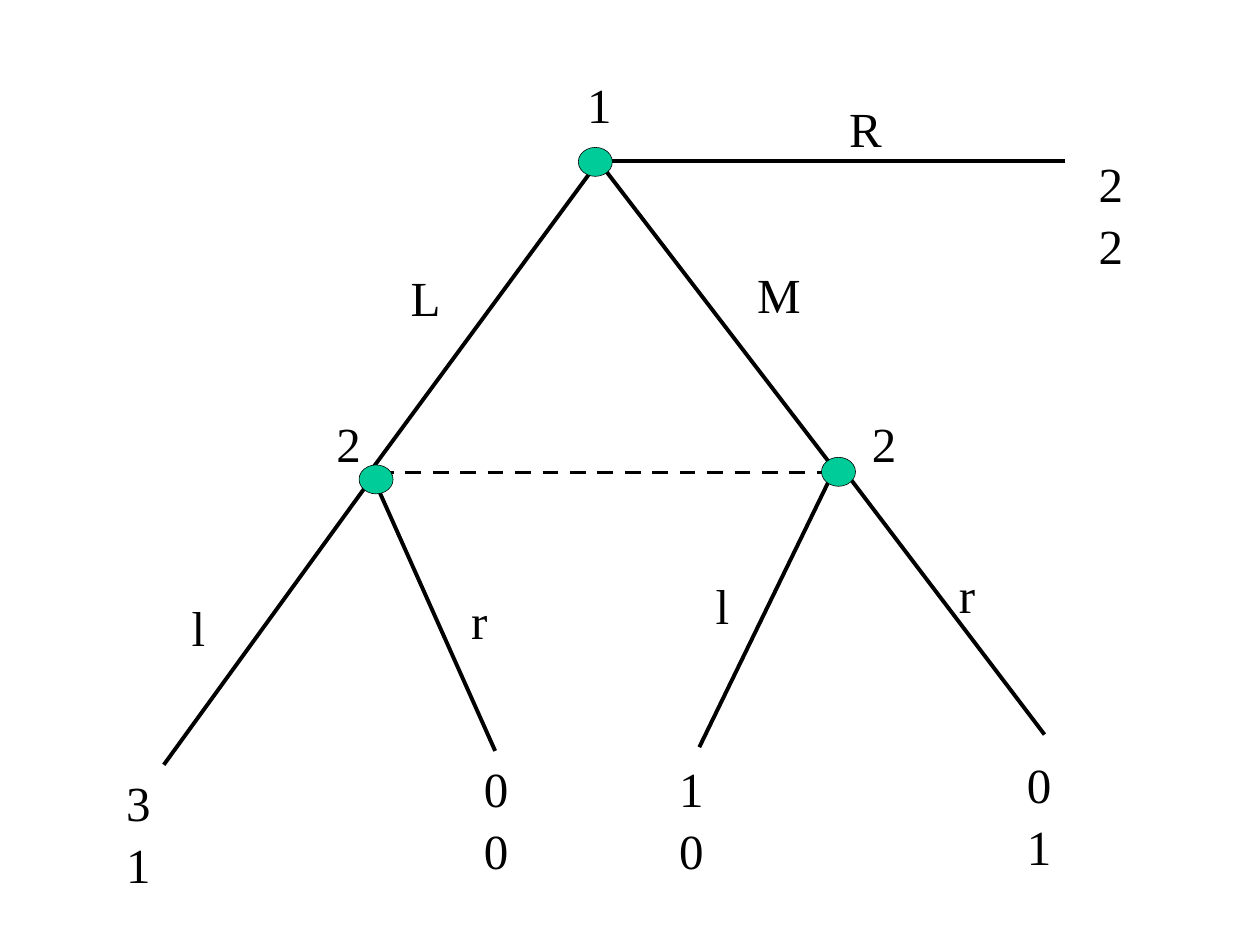
from dataclasses import dataclass

from lxml import etree
from pptx import Presentation
from pptx.dml.color import RGBColor
from pptx.enum.dml import MSO_LINE
from pptx.enum.shapes import MSO_CONNECTOR, MSO_SHAPE
from pptx.enum.text import MSO_AUTO_SIZE
from pptx.oxml.ns import qn
from pptx.slide import Slide
from pptx.util import Inches, Pt

STRAIGHT = MSO_CONNECTOR.STRAIGHT
OVAL = MSO_SHAPE.OVAL
DASH = MSO_LINE.DASH
FIT_SHAPE = MSO_AUTO_SIZE.SHAPE_TO_FIT_TEXT

COLORS = {"ink": "000000", "node": "00CC99"}
LABEL_FONT = {"name": "Times New Roman", "size": Pt(28)}
LABEL_FRAME = {
    "margin_left": 0,
    "margin_top": 0,
    "margin_right": 0,
    "margin_bottom": 0,
    "word_wrap": False,
    "auto_size": FIT_SHAPE,
}
LABEL_HEIGHT = 0.47
PAYOFF_STEP = 0.49
NODE_WIDTH, NODE_HEIGHT = 0.27, 0.23
GLYPH_WIDTHS = {"L": 0.24, "M": 0.35, "R": 0.26, "l": 0.11, "r": 0.13}
DIGIT_WIDTH = 0.19


@dataclass(frozen=True)
class Branch:
    start: tuple[float, float]
    end: tuple[float, float]
    dashed: bool = False


@dataclass(frozen=True)
class Label:
    text: str
    left: float
    top: float


@dataclass(frozen=True)
class Payoff:
    first: str
    second: str
    left: float
    top: float


ROOT = (4.75, 1.28)
LEFT_END = (2.94, 3.74)
RIGHT_START = (6.65, 3.67)

BRANCHES = [
    Branch((3, 3.75), (6.67, 3.75), dashed=True),
    Branch(ROOT, (8.45, 1.28)),
    Branch(ROOT, LEFT_END),
    Branch(ROOT, (6.62, 3.72)),
    Branch((2.94, 3.81), (1.3, 6.07)),
    Branch((2.97, 3.81), (3.93, 5.96)),
    Branch(RIGHT_START, (5.55, 5.93)),
    Branch(RIGHT_START, (8.29, 5.83)),
]
NODES = [(6.52, 3.63), (2.85, 3.69), (4.59, 1.17)]
PAYOFFS = [
    Payoff("3", "1", 1, 6.13),
    Payoff("2", "2", 8.72, 1.22),
    Payoff("0", "1", 8.15, 5.99),
    Payoff("1", "0", 5.39, 6.02),
    Payoff("0", "0", 3.84, 6.02),
]
LABELS = [
    Label("1", 4.66, 0.59),
    Label("2", 2.67, 3.28),
    Label("L", 3.26, 2.12),
    Label("l", 1.52, 4.74),
    Label("r", 3.74, 4.69),
    Label("l", 5.68, 4.57),
    Label("r", 7.61, 4.48),
    Label("M", 6.01, 2.1),
    Label("R", 6.74, 0.78),
    Label("2", 6.92, 3.28),
]


def color(key: str) -> RGBColor:
    return RGBColor.from_string(COLORS[key])


def apply_format(target: object, values: dict) -> None:
    for attribute, value in values.items():
        setattr(target, attribute, value)


def draw_branch(slide: Slide, branch: Branch) -> None:
    points = [Inches(value) for value in (*branch.start, *branch.end)]
    edge = slide.shapes.add_connector(STRAIGHT, *points)
    edge.line.color.rgb = color("ink")
    edge.line.width = Pt(2.25)
    if branch.dashed:
        edge.line.dash_style = DASH
    etree.SubElement(edge._element.spPr, qn("a:effectLst"))


def draw_node(slide: Slide, left: float, top: float) -> None:
    box = [Inches(value) for value in (left, top, NODE_WIDTH, NODE_HEIGHT)]
    node = slide.shapes.add_shape(OVAL, *box)
    node.shadow.inherit = False
    node.fill.solid()
    node.fill.fore_color.rgb = color("node")
    node.line.color.rgb = color("ink")
    node.line.width = Pt(0.34)


def draw_label(slide: Slide, label: Label) -> None:
    width = GLYPH_WIDTHS.get(label.text, DIGIT_WIDTH)
    box = [Inches(value) for value in (label.left, label.top, width, LABEL_HEIGHT)]
    frame = slide.shapes.add_textbox(*box).text_frame
    apply_format(frame, LABEL_FRAME)
    run = frame.paragraphs[0].add_run()
    run.text = label.text
    apply_format(run.font, LABEL_FONT)
    run.font.color.rgb = color("ink")


def draw_payoff(slide: Slide, payoff: Payoff) -> None:
    for row, value in enumerate((payoff.first, payoff.second)):
        draw_label(slide, Label(value, payoff.left, payoff.top + row * PAYOFF_STEP))


def main() -> None:
    presentation = Presentation()
    presentation.slide_width = Inches(10)
    presentation.slide_height = Inches(7.5)
    slide = presentation.slides.add_slide(presentation.slide_layouts[6])
    for branch in BRANCHES:
        draw_branch(slide, branch)
    for left, top in NODES:
        draw_node(slide, left, top)
    for payoff in PAYOFFS:
        draw_payoff(slide, payoff)
    for label in LABELS:
        draw_label(slide, label)
    presentation.save("out.pptx")


if __name__ == "__main__":
    main()
